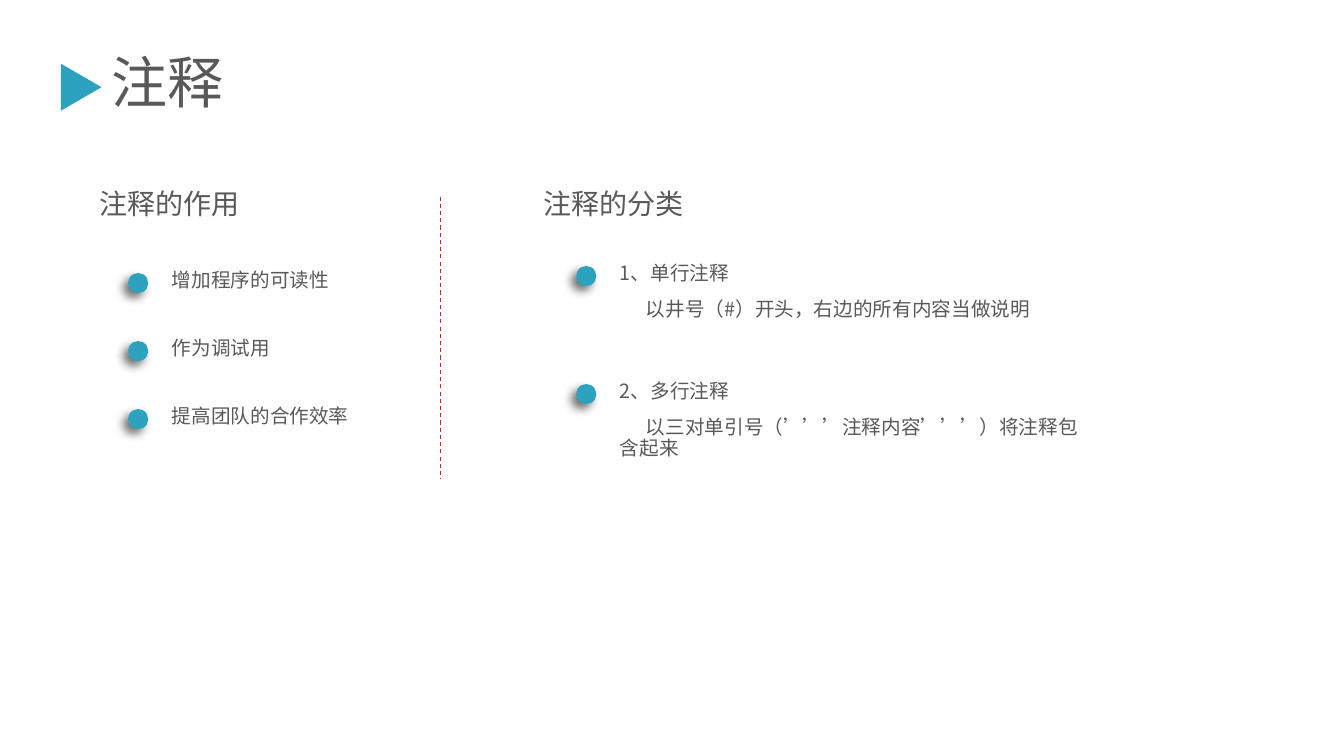
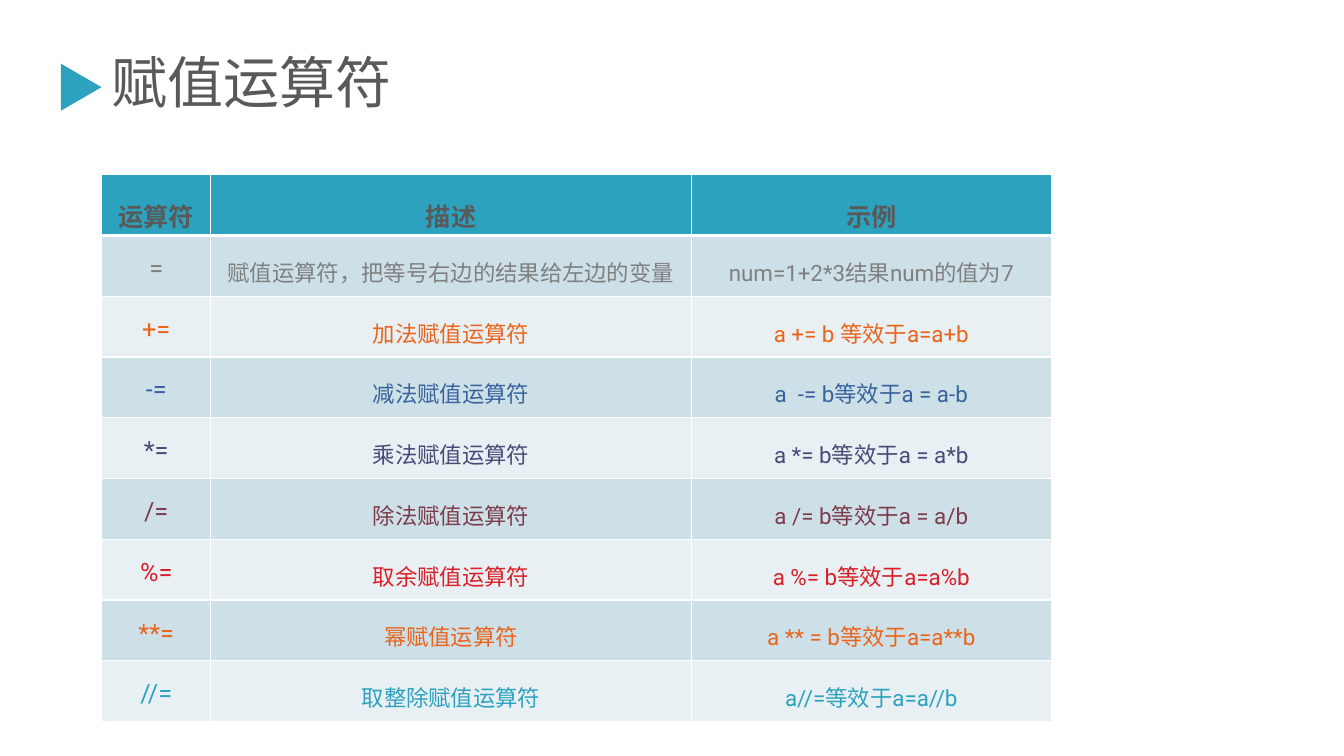
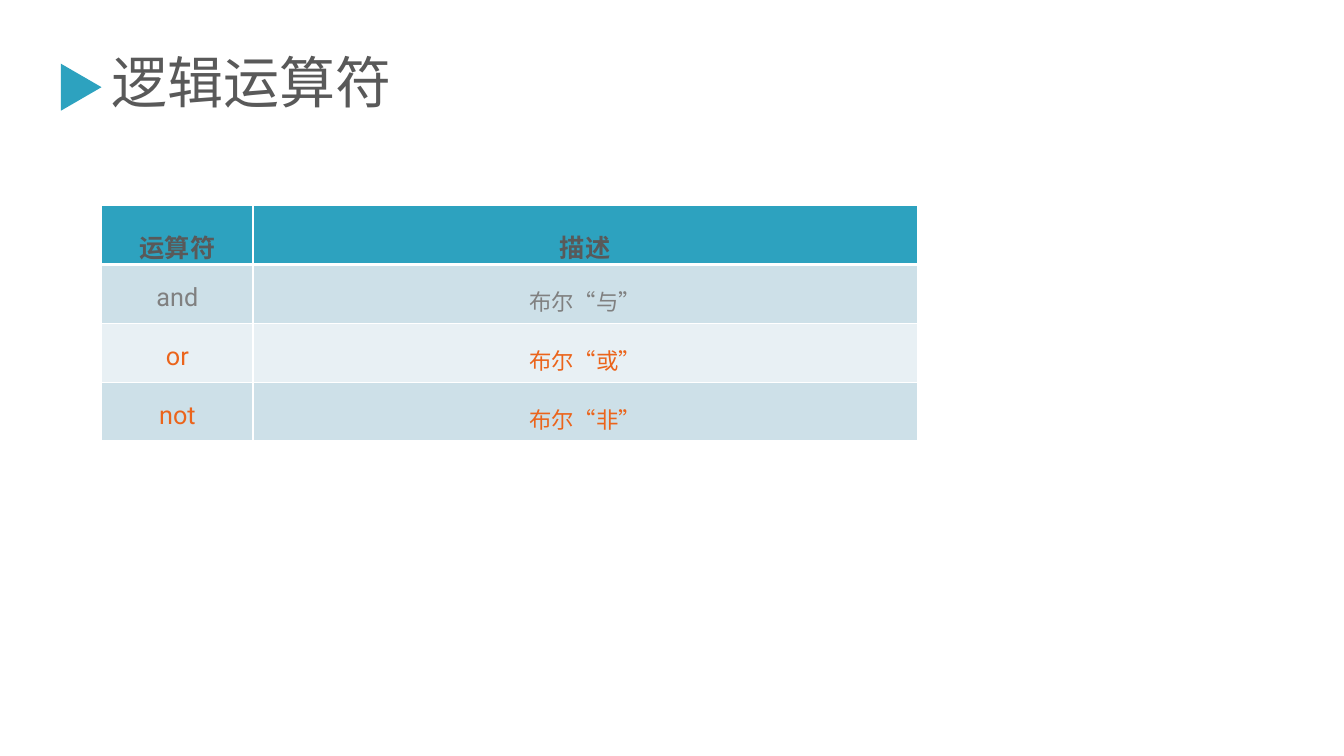
"""Build three slides on comments and operators."""
from dataclasses import dataclass

from lxml import etree
from pptx import Presentation
from pptx.dml.color import RGBColor
from pptx.enum import dml, shapes, text
from pptx.oxml import ns
from pptx.util import Pt


@dataclass(frozen=True)
class Theme:
    han: str = "Noto Sans CJK SC"
    latin: str = "Roboto"
    teal: str = "2DA2BF"
    ink: str = "595959"
    gray: str = "808080"
    orange: str = "EB641B"
    blue: str = "39639D"
    navy: str = "474B78"
    plum: str = "7D3C4A"
    red: str = "DA1F28"
    white: str = "FFFFFF"
    black: str = "000000"
    bands: tuple = ("CDE0E8", "E8F0F4")
    title: int = 40
    head: int = 20
    label: int = 18
    cell: int = 16
    body: int = 14
    lead: float = 0.88


def node(parent, tag, **attrs):
    return etree.SubElement(parent, ns.qn(tag), {k: str(v) for k, v in attrs.items()})


class Deck:
    def __init__(self, theme):
        self.theme = theme
        self.prs = Presentation()
        self.prs.slide_width, self.prs.slide_height = Pt(960), Pt(540)
        self.slide = None

    def style(self, para, size, color, face=None, bold=False):
        for run in para.runs:
            font = run.font
            font.size, font.bold = Pt(size), bold
            font.color.rgb = RGBColor.from_string(color)
            font.name = face or self.theme.han
            node(run._r.get_or_add_rPr(), "a:ea", typeface=self.theme.han)

    def shape(self, kind, left, top, width, height):
        item = self.slide.shapes.add_shape(kind, Pt(left), Pt(top), Pt(width), Pt(height))
        item.shadow.inherit = False
        item.fill.solid()
        item.fill.fore_color.rgb = RGBColor.from_string(self.theme.teal)
        item.line.fill.background()
        return item

    def page(self, words):
        self.slide = self.prs.slides.add_slide(self.prs.slide_layouts[5])
        title = self.slide.shapes.title
        title.left, title.top, title.width, title.height = Pt(72.7), Pt(36.7), Pt(470), Pt(55.5)
        frame = title.text_frame
        frame.text = words
        frame.word_wrap = True
        frame.auto_size = text.MSO_AUTO_SIZE.NONE
        frame.vertical_anchor = text.MSO_ANCHOR.TOP
        para = frame.paragraphs[0]
        para.alignment = text.PP_ALIGN.LEFT
        para.line_spacing = self.theme.lead
        self.style(para, self.theme.title, self.theme.ink)
        mark = self.shape(shapes.MSO_SHAPE.ISOSCELES_TRIANGLE, 41.2, 47.8, 33.6, 29)
        mark.rotation = 90

    def note(self, words, left, top, width, height, size):
        box = self.slide.shapes.add_textbox(Pt(left), Pt(top), Pt(width), Pt(height))
        frame = box.text_frame
        frame.word_wrap = True
        frame.text = words
        for i, para in enumerate(frame.paragraphs):
            para.line_spacing = self.theme.lead
            if i:
                para.space_before = Pt(11)
                para._p.get_or_add_pPr().set("indent", str(Pt(18.5)))
            self.style(para, size, self.theme.ink)

    def head(self, words, left):
        self.note(words, left, 132.5, 170, 31.7, self.theme.head)

    def point(self, words, left, top, width, height):
        dot = self.shape(shapes.MSO_SHAPE.OVAL, left, top + 5, 14.4, 14.4)
        effect = dot._element.spPr.find(ns.qn("a:effectLst"))
        shade = node(effect, "a:outerShdw", blurRad=Pt(7), dist=Pt(5), dir=135 * 60000,
                     algn="tr", rotWithShape=0)
        node(node(shade, "a:srgbClr", val=self.theme.black), "a:alpha", val=57000)
        self.note(words, left + 24.2, top, width, height, self.theme.body)

    def rule(self, left, top, bottom):
        line = self.slide.shapes.add_connector(
            shapes.MSO_CONNECTOR.STRAIGHT, Pt(left), Pt(top), Pt(left), Pt(bottom))
        line.line.color.rgb = RGBColor.from_string(self.theme.red)
        line.line.width = Pt(0.75)
        line.line.dash_style = dml.MSO_LINE.DASH
        node(line._element.spPr, "a:effectLst")

    def edge(self, cell, row):
        props = cell._tc.get_or_add_tcPr()
        wide = {"T": 3 if row == 1 else 1, "B": 1 if row else 3}
        for i, side in enumerate("LRTB"):
            line = node(props, f"a:ln{side}", w=Pt(wide.get(side, 1)))
            node(node(line, "a:solidFill"), "a:srgbClr", val=self.theme.white)
            props.insert(i, line)

    def cell(self, cell, words, row, col, color):
        theme = self.theme
        cell.text_frame.text = words
        cell.margin_top, cell.margin_bottom = Pt(2.8), 0
        para = cell.text_frame.paragraphs[0]
        para.alignment = text.PP_ALIGN.CENTER
        para.line_spacing = 1.5
        size = theme.cell if row and col else theme.label
        self.style(para, size, color, theme.latin, bold=row == 0)
        cell.fill.solid()
        fill = theme.bands[(row - 1) % 2] if row else theme.teal
        cell.fill.fore_color.rgb = RGBColor.from_string(fill)
        self.edge(cell, row)

    def table(self, heads, rows, top, widths, height):
        data = [(self.theme.ink, *heads), *rows]
        grid = self.slide.shapes.add_table(
            len(data), len(heads), Pt(72.7), Pt(top),
            Pt(sum(widths)), Pt(height * len(data))).table
        for col, width in zip(grid.columns, widths):
            col.width = Pt(width)
        for r, (color, *words) in enumerate(data):
            grid.rows[r].height = Pt(height)
            for c, word in enumerate(words):
                self.cell(grid.cell(r, c), word, r, c, color)


def main():
    theme = Theme()
    deck = Deck(theme)

    deck.page("注释")
    deck.head("注释的作用", 64)
    for i, words in enumerate(("增加程序的可读性", "作为调试用", "提高团队的合作效率")):
        deck.point(words, 91.5, 190 + 48.6 * i, 172, 24.5)
    deck.rule(314.6, 140.4, 342)
    deck.head("注释的分类", 381)
    deck.point("1、单行注释\n以井号（#）开头，右边的所有内容当做说明", 411.6, 185, 348.5, 53.3)
    deck.point("2、多行注释\n以三对单引号（’’’注释内容’’’）将注释包含起来", 411.6, 269.3, 348.5, 70.6)

    deck.page("赋值运算符")
    deck.table(("运算符", "描述", "示例"), (
        (theme.gray, "=", "赋值运算符，把等号右边的结果给左边的变量", "num=1+2*3结果num的值为7"),
        (theme.orange, "+=", "加法赋值运算符", "a += b 等效于a=a+b"),
        (theme.blue, "-=", "减法赋值运算符", "a  -= b等效于a = a-b"),
        (theme.navy, "*=", "乘法赋值运算符", "a *= b等效于a = a*b"),
        (theme.plum, "/=", "除法赋值运算符", "a /= b等效于a = a/b"),
        (theme.red, "%=", "取余赋值运算符", "a %= b等效于a=a%b"),
        (theme.orange, "**=", "幂赋值运算符", "a ** = b等效于a=a**b"),
        (theme.teal, "//=", "取整除赋值运算符", "a//=等效于a=a//b"),
    ), 124.8, (77.8, 343.4, 257), 43.4)

    deck.page("逻辑运算符")
    deck.table(("运算符", "描述"), (
        (theme.gray, "and", "布尔“与”"),
        (theme.orange, "or", "布尔“或”"),
        (theme.orange, "not", "布尔“非”"),
    ), 147, (108, 474.5), 42)

    deck.prs.save("out.pptx")


if __name__ == "__main__":
    main()
